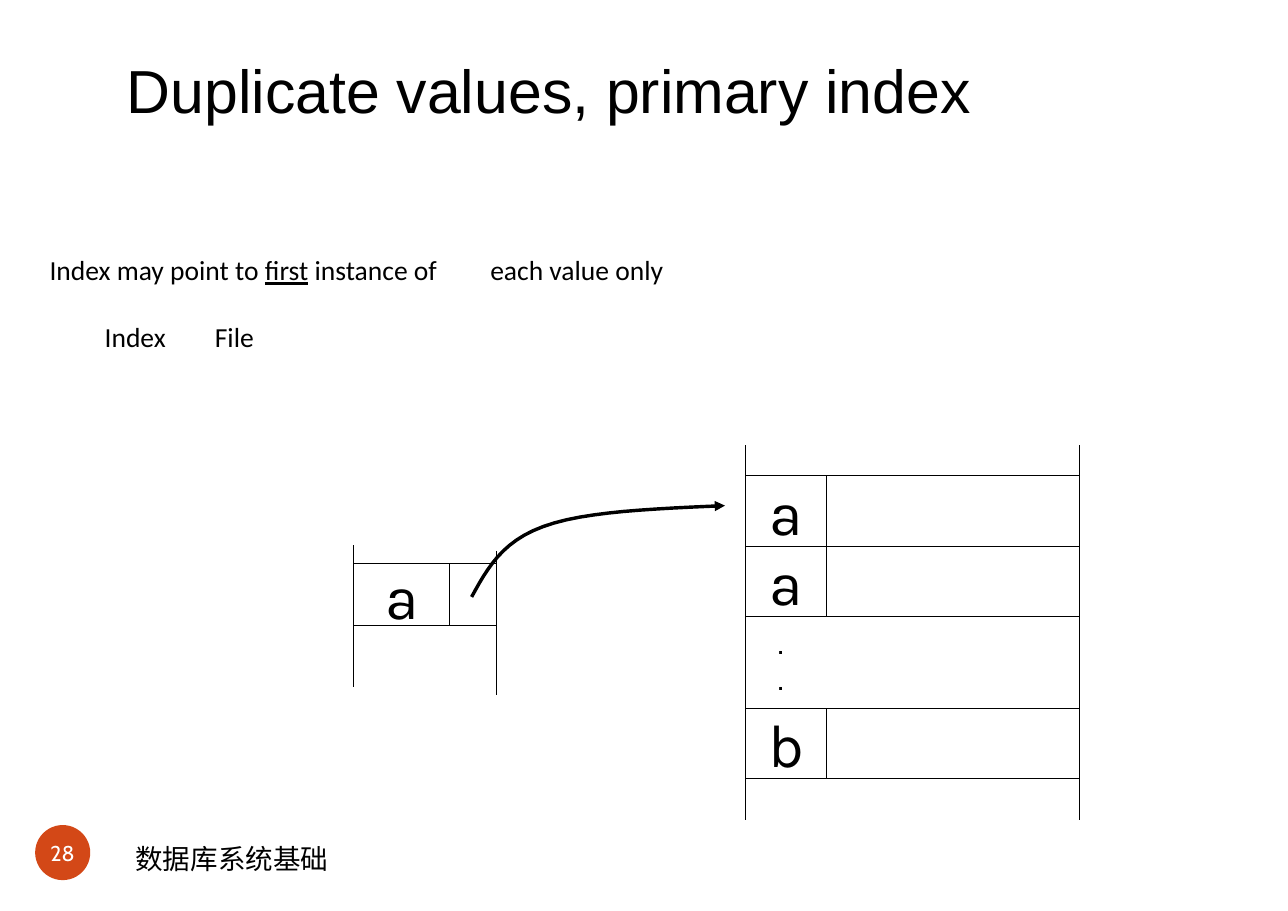
import pptx
import pptx.dml.color
import pptx.enum.shapes
import pptx.enum.text
import pptx.oxml.ns
import pptx.util
from lxml import etree
from typing import NamedTuple, Optional

Pt = pptx.util.Pt
SHAPES = pptx.enum.shapes.MSO_SHAPE
ALIGN = pptx.enum.text.PP_ALIGN
ANCHOR = pptx.enum.text.MSO_ANCHOR

COLORS = {"ink": "000000", "paper": "FFFFFF", "badge": "D34817"}

RECORD_LEFT, RECORD_SPLIT, RECORD_RIGHT = 487.4, 540.2, 705.6
RECORD_HEIGHT = 46.1
INDEX_LEFT, INDEX_SPLIT, INDEX_RIGHT = 231.1, 294.0, 324.7
INDEX_TOP, INDEX_HEIGHT = 368.6, 40.3


class Cell(NamedTuple):
    left: float
    top: float
    right: float
    height: float
    key: str = ""


class Rail(NamedTuple):
    x: float
    top: float
    bottom: float


class Point(NamedTuple):
    x: float
    y: float


class Curve(NamedTuple):
    start: Point
    control1: Point
    control2: Point
    end: Point

    def at(self, t: float) -> Point:
        weights = ((1 - t) ** 3, 3 * t * (1 - t) ** 2, 3 * t ** 2 * (1 - t), t ** 3)
        return Point(sum(w * p.x for w, p in zip(weights, self)),
                     sum(w * p.y for w, p in zip(weights, self)))


RECORDS = [(311.0, "a"), (357.1, "a"), (463.0, "b")]

CELLS = [
    Cell(INDEX_LEFT, INDEX_TOP, INDEX_SPLIT, INDEX_HEIGHT, "a"),
    Cell(INDEX_SPLIT, INDEX_TOP, INDEX_RIGHT, INDEX_HEIGHT),
]
for record_top, record_key in RECORDS:
    CELLS += [
        Cell(RECORD_LEFT, record_top, RECORD_SPLIT, RECORD_HEIGHT, record_key),
        Cell(RECORD_SPLIT, record_top, RECORD_RIGHT, RECORD_HEIGHT),
    ]

RAILS = [
    Rail(INDEX_LEFT, 356.4, 449.3),
    Rail(INDEX_RIGHT, 360.0, 454.3),
    Rail(RECORD_LEFT, 290.9, 535.7),
    Rail(RECORD_RIGHT, 290.9, 535.7),
]

POINTER = [
    Curve(Point(308.2, 390.2), Point(318.2, 372.2), Point(327.6, 354.2), Point(355.0, 344.2)),
    Curve(Point(355.0, 344.2), Point(382.3, 334.1), Point(428.4, 332.6), Point(473.8, 330.5)),
]


def rgb(name: str) -> pptx.dml.color.RGBColor:
    return pptx.dml.color.RGBColor.from_string(COLORS[name])


def add_xml(parent, tag: str, **attributes: str):
    return etree.SubElement(parent, pptx.oxml.ns.qn(tag), attributes)


def format_runs(frame, font: str, size: float, color: str = "ink", bold: bool = False) -> None:
    for paragraph in frame.paragraphs:
        for run in paragraph.runs:
            run.font.name = font
            run.font.size = Pt(size)
            run.font.bold = bold
            run.font.color.rgb = rgb(color)


def place(shape, left: float, top: float, width: float, height: float) -> None:
    shape.left, shape.top = Pt(left), Pt(top)
    shape.width, shape.height = Pt(width), Pt(height)


def set_margins(frame, margin: float) -> None:
    frame.margin_left = frame.margin_right = Pt(margin)
    frame.margin_top = frame.margin_bottom = Pt(margin)


def center_text(frame) -> None:
    frame.word_wrap = False
    frame.vertical_anchor = ANCHOR.MIDDLE
    for paragraph in frame.paragraphs:
        paragraph.alignment = ALIGN.CENTER


def draw_line(line, width: float) -> None:
    line.color.rgb = rgb("ink")
    line.width = Pt(width)


def draw_shape(slide, kind, left: float, top: float, width: float, height: float,
               fill: str, outline: Optional[float] = None):
    shape = slide.shapes.add_shape(kind, Pt(left), Pt(top), Pt(width), Pt(height))
    shape.shadow.inherit = False
    shape.fill.solid()
    shape.fill.fore_color.rgb = rgb(fill)
    if outline is None:
        shape.line.fill.background()
    else:
        draw_line(shape.line, outline)
    return shape


def draw_cell(slide, cell: Cell) -> None:
    box = draw_shape(slide, SHAPES.RECTANGLE, cell.left, cell.top,
                     cell.right - cell.left, cell.height, "paper", 0.75)
    if cell.key:
        box.text_frame.text = cell.key
        center_text(box.text_frame)
        format_runs(box.text_frame, "Karla", 39.7)


def draw_rail(slide, rail: Rail) -> None:
    side = slide.shapes.add_connector(pptx.enum.shapes.MSO_CONNECTOR.STRAIGHT,
                                      Pt(rail.x), Pt(rail.top), Pt(rail.x), Pt(rail.bottom))
    draw_line(side.line, 0.75)
    add_xml(side._element.spPr, "a:effectLst")


def draw_pointer(slide, curves: list[Curve], steps: int = 12) -> None:
    start = curves[0].start
    builder = slide.shapes.build_freeform(Pt(start.x), Pt(start.y))
    points = [curve.at(step / steps) for curve in curves for step in range(1, steps + 1)]
    builder.add_line_segments([(Pt(p.x), Pt(p.y)) for p in points], close=False)
    arrow = builder.convert_to_shape()
    arrow.shadow.inherit = False
    arrow.fill.background()
    draw_line(arrow.line, 2.25)
    add_xml(arrow.line._get_or_add_ln(), "a:tailEnd", type="triangle")


def set_tabs(paragraph, stops: list[float]) -> None:
    properties = paragraph._p.get_or_add_pPr()
    properties.set("marL", "0")
    properties.set("indent", "0")
    add_xml(properties, "a:buNone")
    tabs = add_xml(properties, "a:tabLst")
    for stop in stops:
        add_xml(tabs, "a:tab", pos=str(Pt(stop)), algn="l")


def write_title(slide) -> None:
    title = slide.shapes.title
    place(title, 82.8, 30.2, 676.8, 24.5)
    frame = title.text_frame
    frame.text = "Duplicate values, primary index"
    frame.auto_size = pptx.enum.text.MSO_AUTO_SIZE.NONE
    frame.vertical_anchor = ANCHOR.TOP
    set_margins(frame, 0)
    frame.margin_top = Pt(4.5)
    frame.paragraphs[0].alignment = ALIGN.LEFT
    format_runs(frame, "Arial", 39.7)


def write_body(slide) -> None:
    body = slide.placeholders[1]
    place(body, 25.2, 162, 674.6, 87.1)
    frame = body.text_frame
    frame.auto_size = pptx.enum.text.MSO_AUTO_SIZE.NONE
    rule, headings = frame.paragraphs[0], frame.add_paragraph()
    set_tabs(rule, [288])
    set_tabs(headings, [168.2, 435.6])
    for part in ("Index may point to ", "first", " instance of\teach value only"):
        run = rule.add_run()
        run.text = part
        run.font.underline = part == "first"
    headings.text = "\tIndex\tFile"
    rule.space_before = Pt(0)
    headings.space_before = Pt(22)
    format_runs(frame, "Calibri", 18)


def write_footer(slide) -> None:
    number = draw_shape(slide, SHAPES.OVAL, 23, 539.3, 36, 36, "badge")
    number.text_frame.text = "28"
    set_margins(number.text_frame, 0)
    center_text(number.text_frame)
    format_runs(number.text_frame, "Cabin", 14, "paper")
    course = slide.shapes.add_textbox(Pt(81.4), Pt(546.5), Pt(183.6), Pt(28.8)).text_frame
    course.word_wrap = True
    course.text = "数据库系统基础"
    format_runs(course, "Calibri", 18)


def write_ellipsis(slide) -> None:
    dots = slide.shapes.add_textbox(Pt(501.1), Pt(410.4), Pt(18), Pt(47.5)).text_frame
    dots.text = ".\n."
    center_text(dots)
    dots.paragraphs[1].space_before = Pt(7.5)
    format_runs(dots, "Arial", 13.2, bold=True)


def main() -> None:
    deck = pptx.Presentation()
    deck.slide_width, deck.slide_height = Pt(841.68), Pt(595.44)
    slide = deck.slides.add_slide(deck.slide_layouts[1])
    # Texts
    write_footer(slide)
    write_title(slide)
    write_body(slide)
    # Index and file blocks
    for cell in CELLS:
        draw_cell(slide, cell)
    for rail in RAILS:
        draw_rail(slide, rail)
    write_ellipsis(slide)
    # Pointer from the index entry to the first record
    draw_pointer(slide, POINTER)
    deck.save("out.pptx")


if __name__ == "__main__":
    main()
